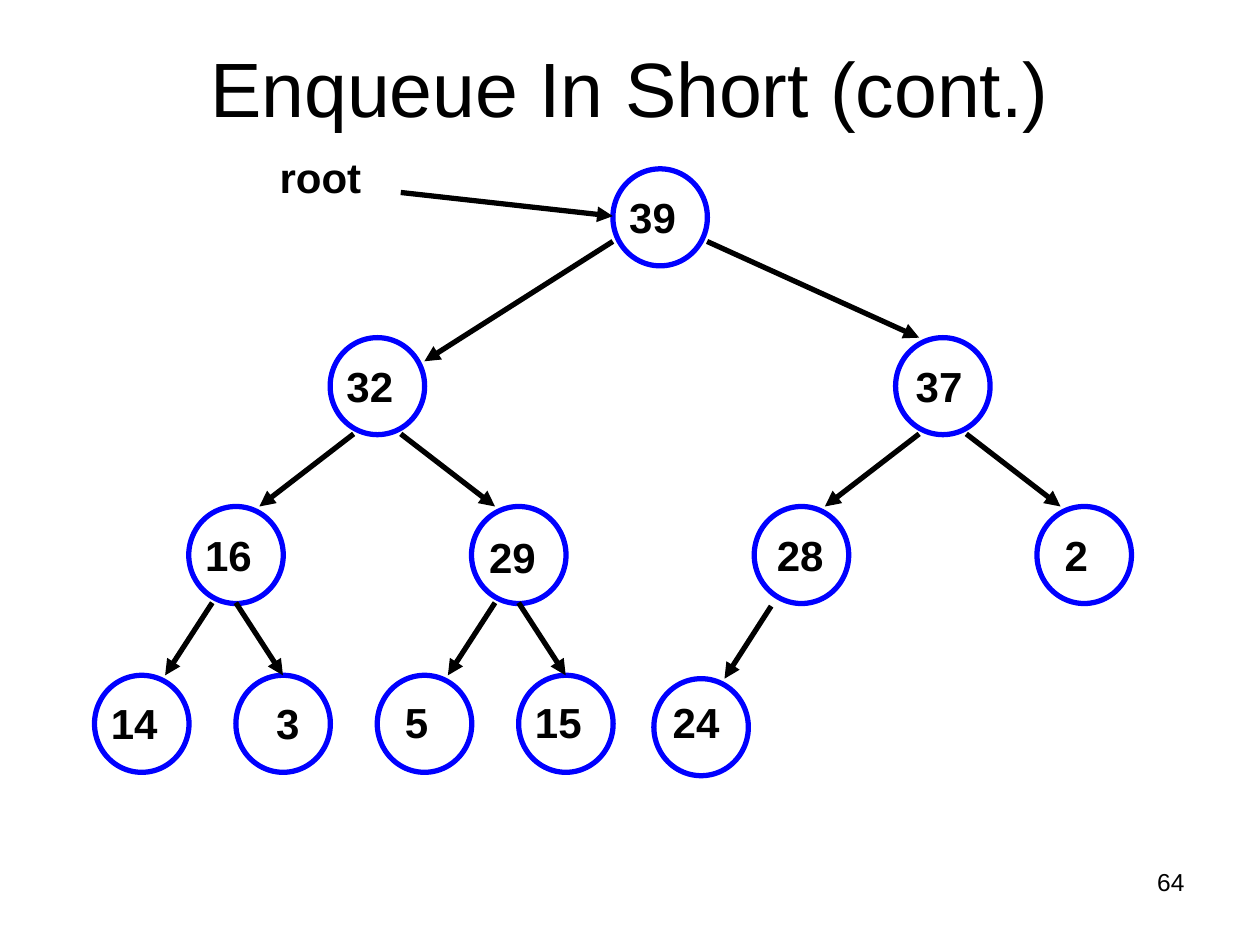
from dataclasses import dataclass

from lxml.etree import SubElement
from pptx import Presentation
from pptx.dml.color import RGBColor
from pptx.enum.shapes import MSO_CONNECTOR, MSO_SHAPE
from pptx.enum.text import MSO_ANCHOR, MSO_AUTO_SIZE, PP_ALIGN
from pptx.oxml.ns import qn
from pptx.util import Inches, Pt


@dataclass(frozen=True)
class Theme:
    font: str = "Arial"
    ink: RGBColor = RGBColor(0, 0, 0)
    paper: RGBColor = RGBColor(255, 255, 255)
    ring: RGBColor = RGBColor(0, 0, 255)
    title: int = 44
    label: int = 24
    number: int = 14
    stroke: int = 3


@dataclass(frozen=True)
class Node:
    """Column and row of a circle; indent and nudge (inches) place its value."""
    col: float
    row: float
    indent: float = 0.09
    nudge: tuple = (-0.06, 0.13)


LEFT, COL, ROW = 0.75, 7.48 / 20, 1.34
DIAMETER = (0.75, 0.77)
LABEL_SIZE = (0.94, 0.76)

NODES = {
    "39": Node(11, 1),
    "32": Node(5, 2),
    "37": Node(17, 2, nudge=(-0.03, 0.13)),
    "16": Node(2, 3),
    "29": Node(8, 3, nudge=(-0.05, 0.15)),
    "28": Node(14, 3, nudge=(-0.01, 0.13)),
    "2": Node(20, 3, indent=0.18),
    "14": Node(0, 4),
    "3": Node(3, 4, indent=0.28),
    "5": Node(6, 4, indent=0.18, nudge=(-0.06, 0.12)),
    "15": Node(9, 4, nudge=(-0.06, 0.12)),
    "24": Node(11.87, 4.02, nudge=(-0.04, 0.09)),
}

# Where an edge leaves its parent and meets its child, in columns and rows
# from the top left of each circle.
BOTTOM_LEFT, BOTTOM, BOTTOM_RIGHT = (0.5, 0.57), (1, 0.57), (1.5, 0.57)
TOP_LEFT, TOP, TOP_RIGHT = (0.5, 0), (1, 0), (1.5, 0)
EDGES = [
    ("39", "32", (0, 0.43), (2, 0.14)),
    ("39", "37", (2, 0.43), TOP_LEFT),
    ("32", "16", BOTTOM_LEFT, TOP_RIGHT),
    ("32", "29", BOTTOM_RIGHT, TOP_LEFT),
    ("37", "28", BOTTOM_LEFT, TOP_RIGHT),
    ("37", "2", BOTTOM_RIGHT, TOP_LEFT),
    ("16", "14", BOTTOM_LEFT, TOP_RIGHT),
    ("16", "3", BOTTOM, TOP),
    ("29", "5", BOTTOM_LEFT, TOP_RIGHT),
    ("29", "15", BOTTOM, TOP),
    ("28", "24", (0.36, 0.59), TOP_RIGHT),
]


def write(tf, text, *, theme, size, bold=False, align=PP_ALIGN.LEFT,
          anchor=MSO_ANCHOR.TOP, indent=0):
    tf.word_wrap = True
    tf.auto_size = MSO_AUTO_SIZE.NONE
    tf.vertical_anchor = anchor
    tf.margin_left = Inches(0.1 + indent)
    p = tf.paragraphs[0]
    p.alignment = align
    r = p.add_run()
    r.text = text
    r.font.name, r.font.size, r.font.bold = theme.font, Pt(size), bold
    r.font.color.rgb = theme.ink


def grid(col, row):
    return LEFT + col * COL, row * ROW


class TreeSlide:
    def __init__(self, prs, theme):
        self.theme = theme
        self.s = prs.slides.add_slide(prs.slide_layouts[5])

    def title(self, text, *box):
        sp = self.s.shapes.title
        sp.left, sp.top, sp.width, sp.height = map(Inches, box)
        write(sp.text_frame, text, theme=self.theme, size=self.theme.title,
              align=PP_ALIGN.CENTER, anchor=MSO_ANCHOR.MIDDLE)

    def text(self, text, *box, **style):
        sp = self.s.shapes.add_textbox(*map(Inches, box))
        write(sp.text_frame, text, theme=self.theme, **style)

    def node(self, value, node):
        x, y = grid(node.col, node.row)
        sp = self.s.shapes.add_shape(
            MSO_SHAPE.OVAL, *map(Inches, (x, y, *DIAMETER)))
        sp.shadow.inherit = False
        sp.fill.solid()
        sp.fill.fore_color.rgb = self.theme.paper
        sp.line.color.rgb = self.theme.ring
        sp.line.width = Pt(self.theme.stroke)
        dx, dy = node.nudge
        self.text(value, x + dx, y + dy, *LABEL_SIZE, indent=node.indent,
                  size=self.theme.label, bold=True)

    def arrow(self, start, end):
        """Draw an arrow between two (column, row) points."""
        c = self.s.shapes.add_connector(
            MSO_CONNECTOR.STRAIGHT, *map(Inches, grid(*start) + grid(*end)))
        c.line.color.rgb = self.theme.ink
        c.line.width = Pt(self.theme.stroke)
        SubElement(c.line._get_or_add_ln(), qn("a:tailEnd"), type="triangle")
        SubElement(c._element.spPr, qn("a:effectLst"))

    def edge(self, parent, child, leave, meet):
        a, b = NODES[parent], NODES[child]
        self.arrow((a.col + leave[0], a.row + leave[1]),
                   (b.col + meet[0], b.row + meet[1]))


def main():
    prs = Presentation()
    prs.slide_width, prs.slide_height = Inches(10), Inches(7.5)
    theme = Theme()
    tree = TreeSlide(prs, theme)

    tree.title("Enqueue In Short (cont.)", 0.5, 0.06, 9, 1.25)
    for value, node in NODES.items():
        tree.node(value, node)
    for edge in EDGES:
        tree.edge(*edge)
    tree.text("root", 2.12, 1.15, 1.25, 0.57, size=theme.label, bold=True)
    tree.arrow((6.5, 1.14), (11, 1.28))
    tree.text("64", 7.17, 6.83, 2.33, 0.52, size=theme.number,
              align=PP_ALIGN.RIGHT)

    prs.save("out.pptx")


if __name__ == "__main__":
    main()
